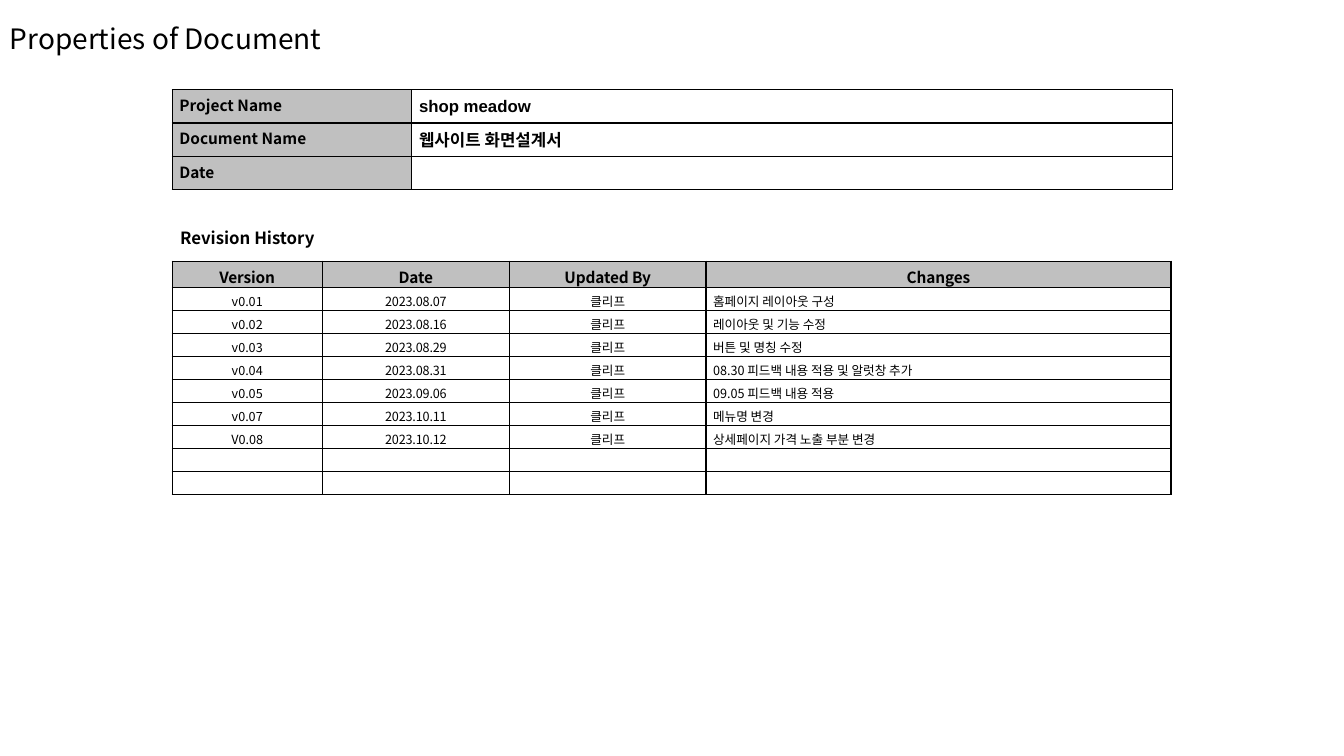
from dataclasses import dataclass

from lxml.etree import SubElement
from pptx import Presentation
from pptx.dml.color import RGBColor
from pptx.enum.text import MSO_ANCHOR, PP_ALIGN
from pptx.oxml.ns import qn
from pptx.util import Cm, Pt


@dataclass(frozen=True)
class Theme:
    ink: RGBColor = RGBColor(0, 0, 0)
    label_fill: RGBColor = RGBColor(0xC0, 0xC0, 0xC0)
    sans: str = "Noto Sans CJK KR"
    latin: str = "Arial"
    title: int = 20
    heading: int = 12
    label: int = 11
    body: int = 9
    border: int = 1


THEME = Theme()


@dataclass(frozen=True)
class TextStyle:
    size: int
    bold: bool = False
    font: str = THEME.sans
    align: PP_ALIGN = PP_ALIGN.LEFT
    anchor: MSO_ANCHOR = MSO_ANCHOR.MIDDLE
    gap: int = 0
    line: float = 1.0
    tracking: int = 0
    filled: bool = False


@dataclass(frozen=True)
class Grid:
    left: float
    top: float
    columns: list[float]
    rows: list[float]
    texts: list[list[str]]
    styles: list[list[TextStyle]]
    bottom_inset: float


@dataclass(frozen=True)
class Label:
    text: str
    left: float
    top: float
    width: float
    height: float
    style: TextStyle
    wrap: bool


# Text styles
TITLE = TextStyle(THEME.title, line=0.9)
HEADING = TextStyle(THEME.heading, bold=True, anchor=MSO_ANCHOR.TOP)
FIELD = TextStyle(THEME.label, bold=True, anchor=MSO_ANCHOR.TOP, gap=3, filled=True)
VALUE = TextStyle(THEME.heading, bold=True, align=PP_ALIGN.JUSTIFY)
LATIN_VALUE = TextStyle(THEME.heading, bold=True, font=THEME.latin, align=PP_ALIGN.JUSTIFY)
HEADER = TextStyle(THEME.label, bold=True, align=PP_ALIGN.CENTER,
                   anchor=MSO_ANCHOR.TOP, tracking=-10, filled=True)
CENTERED = TextStyle(THEME.body, align=PP_ALIGN.CENTER)
DATED = TextStyle(THEME.body, align=PP_ALIGN.CENTER, tracking=-10)
CHANGE = TextStyle(THEME.body, align=PP_ALIGN.JUSTIFY)

# Content
AUTHOR = "클리프"
REVISIONS = [
    ("v0.01", "2023.08.07", "홈페이지 레이아웃 구성"),
    ("v0.02", "2023.08.16", "레이아웃 및 기능 수정"),
    ("v0.03", "2023.08.29", "버튼 및 명칭 수정"),
    ("v0.04", "2023.08.31", "08.30 피드백 내용 적용 및 알럿창 추가"),
    ("v0.05", "2023.09.06", "09.05 피드백 내용 적용"),
    ("v0.07", "2023.10.11", "메뉴명 변경"),
    ("V0.08", "2023.10.12", "상세페이지 가격 노출 부분 변경"),
]
BLANK_ROWS = 2
BODY_ROWS = len(REVISIONS) + BLANK_ROWS

DETAILS = Grid(
    4.34, 2.26, [6.04, 19.16], [0.84] * 3,
    [["Project Name", "shop meadow"], ["Document Name", "웹사이트 화면설계서"], ["Date", ""]],
    [[FIELD, LATIN_VALUE], [FIELD, VALUE], [FIELD, VALUE]],
    bottom_inset=0.1,
)
HISTORY = Grid(
    4.34, 6.58, [3.78, 4.72, 4.95, 11.72], [0.67] + [0.58] * BODY_ROWS,
    [["Version", "Date", "Updated By", "Changes"]]
    + [[version, date, AUTHOR, change] for version, date, change in REVISIONS]
    + [[""] * 4] * BLANK_ROWS,
    [[HEADER] * 4] + [[CENTERED, DATED, CENTERED, CHANGE]] * BODY_ROWS,
    bottom_inset=0,
)
LABELS = [
    Label("Revision History", 4.29, 5.61, 3.89, 0.76, HEADING, wrap=False),
    Label("Properties of Document", 0, 0.53, 33.87, 0.99, TITLE, wrap=True),
]


def write_text(frame, text: str, style: TextStyle) -> None:
    para = frame.paragraphs[0]
    layout = {"alignment": style.align, "line_spacing": style.line,
              "space_before": Pt(style.gap), "space_after": Pt(style.gap)}
    for name, value in layout.items():
        setattr(para, name, value)
    if not text:
        # An empty cell still needs its type size to keep the row low
        SubElement(para._p, qn("a:endParaRPr"), sz=str(style.size * 100))
        return
    span = para.add_run()
    span.text = text
    formats = {"size": Pt(style.size), "bold": style.bold, "name": style.font}
    for name, value in formats.items():
        setattr(span.font, name, value)
    span.font.color.rgb = THEME.ink
    properties = span._r.get_or_add_rPr()
    properties.set("spc", str(style.tracking))
    SubElement(properties, qn("a:ea"), typeface=style.font)


def draw_borders(cell) -> None:
    properties = cell._tc.get_or_add_tcPr()
    for side in ("lnL", "lnR", "lnT", "lnB"):
        line = SubElement(properties, qn(f"a:{side}"), w=str(Pt(THEME.border)))
        fill = SubElement(line, qn("a:solidFill"))
        SubElement(fill, qn("a:srgbClr"), val=str(THEME.ink))


def draw_cell(cell, text: str, style: TextStyle, bottom_inset: float) -> None:
    formats = {"margin_left": Cm(0.18), "margin_right": Cm(0.18), "margin_top": Cm(0.1),
               "margin_bottom": Cm(bottom_inset), "vertical_anchor": style.anchor}
    for name, value in formats.items():
        setattr(cell, name, value)
    draw_borders(cell)
    if style.filled:
        cell.fill.solid()
        cell.fill.fore_color.rgb = THEME.label_fill
    else:
        cell.fill.background()
    write_text(cell.text_frame, text, style)


def draw_grid(page, grid: Grid) -> None:
    table = page.shapes.add_table(
        len(grid.rows), len(grid.columns), Cm(grid.left), Cm(grid.top),
        Cm(sum(grid.columns)), Cm(sum(grid.rows))).table
    table.first_row = table.horz_banding = False
    for column, width in zip(table.columns, grid.columns):
        column.width = Cm(width)
    for row, height, texts, styles in zip(table.rows, grid.rows, grid.texts, grid.styles):
        row.height = Cm(height)
        for cell, text, style in zip(row.cells, texts, styles):
            draw_cell(cell, text, style, grid.bottom_inset)


def draw_label(page, label: Label) -> None:
    box = page.shapes.add_textbox(Cm(label.left), Cm(label.top),
                                  Cm(label.width), Cm(label.height))
    box.text_frame.word_wrap = label.wrap
    box.text_frame.vertical_anchor = label.style.anchor
    write_text(box.text_frame, label.text, label.style)


def main() -> None:
    deck = Presentation()
    deck.slide_width, deck.slide_height = Cm(33.87), Cm(19.05)
    page = deck.slides.add_slide(deck.slide_layouts[6])

    # Document details and revision history
    for grid in (DETAILS, HISTORY):
        draw_grid(page, grid)

    # Headings
    for label in LABELS:
        draw_label(page, label)

    deck.save("out.pptx")


if __name__ == "__main__":
    main()
